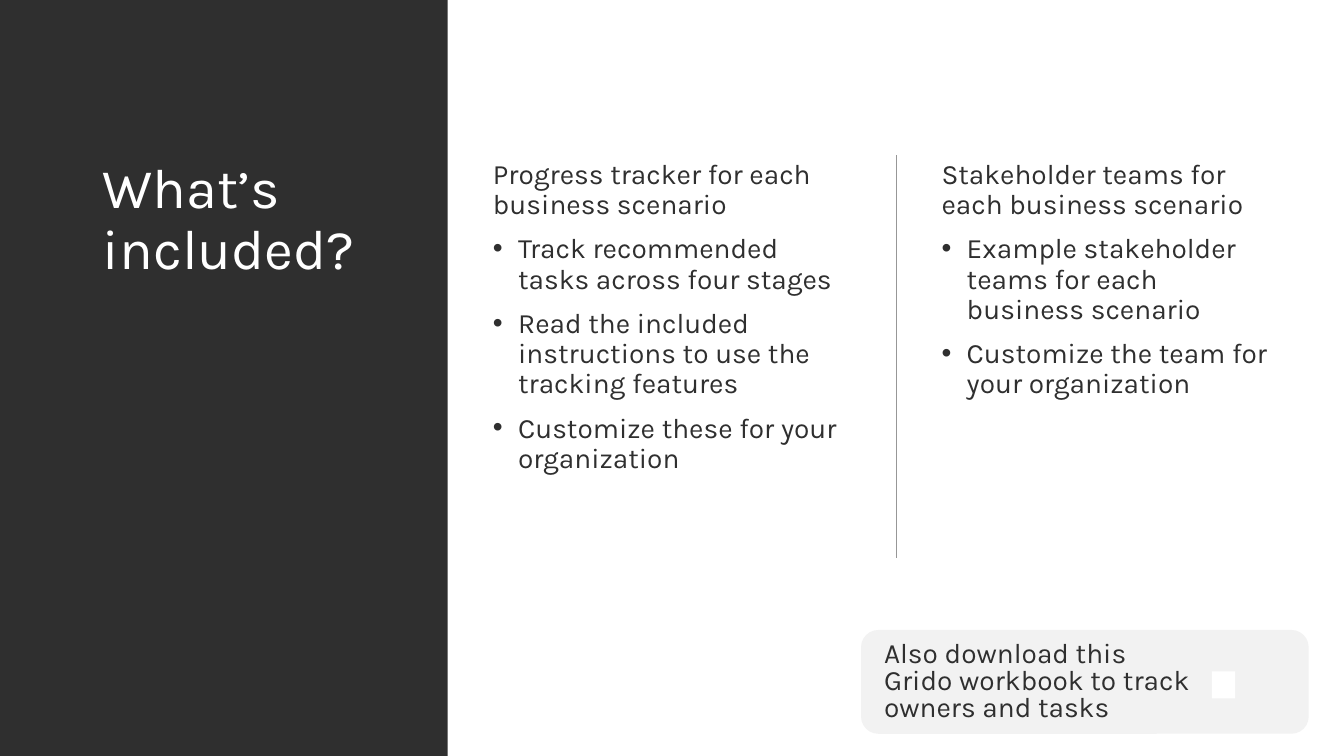
from lxml import etree
from pptx import Presentation
from pptx import util as u
from pptx.dml.color import RGBColor
from pptx.enum import shapes, text
from pptx.oxml import ns

CHARCOAL = RGBColor(0x2F, 0x2F, 0x2F)
WHITE = RGBColor(0xFF, 0xFF, 0xFF)
PALE_GREY = RGBColor(0xF2, 0xF2, 0xF2)
RULE_GREY = RGBColor(0x97, 0x97, 0x97)
FONT = "Karla"
CONTENT_TOP = 1.54
CONTENT_HEIGHT = 4.77

PROGRESS = ("Progress tracker for each business scenario", [
    "Track recommended tasks across four stages",
    "Read the included instructions to use the tracking features",
    "Customize these for your organization",
])
STAKEHOLDERS = ("Stakeholder teams for each business scenario", [
    "Example stakeholder teams for each business scenario",
    "Customize the team for your organization",
])


def inches(*lengths):
    return [u.Inches(length) for length in lengths]


def add_block(slide, kind, box, fill):
    block = slide.shapes.add_shape(kind, *inches(*box))
    block.shadow.inherit = False
    block.fill.solid()
    block.fill.fore_color.rgb = fill
    block.line.fill.background()
    return block


def prepare_frame(frame):
    frame.word_wrap = True
    frame.auto_size = text.MSO_AUTO_SIZE.NONE
    frame.vertical_anchor = text.MSO_ANCHOR.TOP


def write(paragraph, words, size=20, color=CHARCOAL, spacing=0.9):
    paragraph.alignment = text.PP_ALIGN.LEFT
    paragraph.line_spacing = spacing
    run = paragraph.add_run()
    run.text = words
    run.font.name = FONT
    run.font.size = u.Pt(size)
    run.font.color.rgb = color


def add_bullet(paragraph):
    properties = paragraph._p.get_or_add_pPr()
    properties.set("marL", str(u.Inches(0.25)))
    properties.set("indent", str(u.Inches(-0.25)))
    etree.SubElement(properties, ns.qn("a:buFont")).set("typeface", "Arial")
    etree.SubElement(properties, ns.qn("a:buChar")).set("char", "•")


def add_title_panel(slide, left, top, width, height):
    panel = add_block(slide, shapes.MSO_SHAPE.RECTANGLE,
                      (left, top, width, height), CHARCOAL)
    # The panel sits behind the title
    slide.shapes.title._element.addprevious(panel._element)
    title = slide.shapes.title
    title.left, title.top, title.width, title.height = inches(
        left + 0.92, top + CONTENT_TOP, 3.17, CONTENT_HEIGHT)
    prepare_frame(title.text_frame)
    write(title.text_frame.paragraphs[0], "What’s included?", 40, WHITE)


def add_column(slide, left, top, width, height, content):
    heading, points = content
    column = slide.shapes.add_textbox(*inches(left, top, width, height))
    frame = column.text_frame
    prepare_frame(frame)
    write(frame.paragraphs[0], heading)
    for point in points:
        paragraph = frame.add_paragraph()
        add_bullet(paragraph)
        paragraph.space_before = u.Pt(10)
        write(paragraph, point)


def add_divider(slide, left, top, height):
    divider = slide.shapes.add_connector(
        shapes.MSO_CONNECTOR.STRAIGHT, *inches(left, top, left, top + height))
    divider.line.color.rgb = RULE_GREY
    divider.line.width = u.Pt(1)
    etree.SubElement(divider._element.spPr, ns.qn("a:effectLst"))


def add_download_note(slide, left, top, width, height):
    add_block(slide, shapes.MSO_SHAPE.ROUNDED_RECTANGLE,
              (left, top, width, height), PALE_GREY)
    note = slide.shapes.add_textbox(
        *inches(left + 0.13, top + 0.07, 3.27, height - 0.07))
    prepare_frame(note.text_frame)
    write(note.text_frame.paragraphs[0],
          "Also download this Grido workbook to track owners and tasks",
          spacing=0.8)
    # Workbook marker
    add_block(slide, shapes.MSO_SHAPE.RECTANGLE,
              (left + 3.48, top + 0.41, 0.23, 0.27), WHITE)


def main():
    deck = Presentation()
    deck.slide_width, deck.slide_height = inches(13.33, 7.5)
    slide = deck.slides.add_slide(deck.slide_layouts[5])
    add_title_panel(slide, 0, 0, 4.44, 7.5)
    add_column(slide, 4.79, CONTENT_TOP, 3.75, CONTENT_HEIGHT, PROGRESS)
    add_divider(slide, 8.89, CONTENT_TOP, 4)
    add_column(slide, 9.24, CONTENT_TOP, 3.5, CONTENT_HEIGHT, STAKEHOLDERS)
    add_download_note(slide, 8.54, 6.25, 4.44, 1.03)
    deck.save("out.pptx")


if __name__ == "__main__":
    main()
